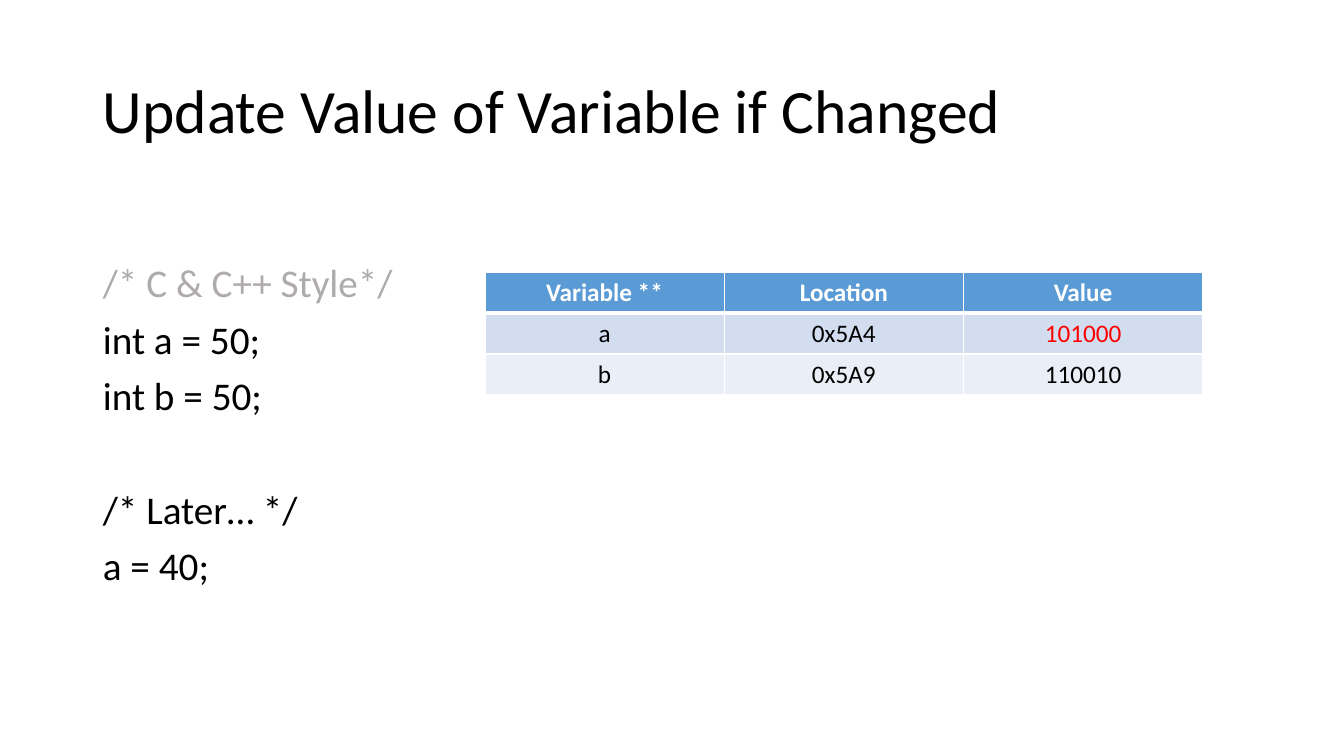
from lxml.etree import SubElement
from pptx import Presentation
from pptx.dml.color import RGBColor
from pptx.enum.text import MSO_ANCHOR, MSO_AUTO_SIZE, PP_ALIGN
from pptx.oxml.ns import qn
from pptx.util import Inches, Pt

BLACK, WHITE, RED, GREY = "000000", "FFFFFF", "FF0000", "AFABAB"
HEADER_BLUE, BAND_DARK, BAND_LIGHT = "5B9BD5", "D2DEEF", "EAEFF7"


def rgb(value):
    return RGBColor.from_string(value)


class SlideBuilder:
    font = "Calibri"

    def __init__(self, slide):
        self.slide = slide

    def style(self, paragraph, size, color, align=PP_ALIGN.LEFT, bold=False):
        paragraph.alignment = align
        paragraph.font.name = self.font
        paragraph.font.size = Pt(size)
        paragraph.font.bold = bold
        paragraph.font.color.rgb = rgb(color)

    def place(self, holder, box, anchor):
        holder.left, holder.top, holder.width, holder.height = map(Inches, box)
        holder.text_frame.auto_size = MSO_AUTO_SIZE.NONE
        holder.text_frame.vertical_anchor = anchor
        return holder.text_frame

    def title(self, text, box):
        frame = self.place(self.slide.shapes.title, box, MSO_ANCHOR.MIDDLE)
        frame.text = text
        self.style(frame.paragraphs[0], 44, BLACK)
        frame.paragraphs[0].line_spacing = 0.9

    def code(self, lines, box):
        frame = self.place(self.slide.placeholders[1], box, MSO_ANCHOR.TOP)
        frame.text = "\n".join(text for text, _, _ in lines)
        for paragraph, (_, color, gap) in zip(frame.paragraphs, lines):
            self.style(paragraph, 28, color)
            paragraph.line_spacing = 0.9
            paragraph.space_before = Pt(gap)
            properties = paragraph._p.get_or_add_pPr()
            properties.set("marL", "0")
            properties.set("indent", "0")
            properties.insert_element_before(
                properties.makeelement(qn("a:buNone"), {}),
                "a:tabLst", "a:defRPr", "a:extLst")

    def borders(self, cell, top, bottom):
        properties = cell._tc.get_or_add_tcPr()
        for side, width in (("L", 1), ("R", 1), ("T", top), ("B", bottom)):
            line = SubElement(properties, qn(f"a:ln{side}"), w=str(Pt(width)))
            fill = SubElement(line, qn("a:solidFill"))
            SubElement(fill, qn("a:srgbClr"), val=WHITE)

    def table(self, rows, fills, box, highlight):
        table = self.slide.shapes.add_table(
            len(rows), len(rows[0]), *map(Inches, box)).table
        for r, (values, fill) in enumerate(zip(rows, fills)):
            header = r == 0
            for c, value in enumerate(values):
                cell = table.cell(r, c)
                cell.text = value
                color = WHITE if header else RED if (r, c) == highlight else BLACK
                self.style(cell.text_frame.paragraphs[0], 18, color,
                           PP_ALIGN.CENTER, header)
                self.borders(cell, 3 if r == 1 else 1, 3 if header else 1)
                cell.fill.solid()
                cell.fill.fore_color.rgb = rgb(fill)


presentation = Presentation()
presentation.slide_width, presentation.slide_height = Inches(13.33), Inches(7.5)
builder = SlideBuilder(
    presentation.slides.add_slide(presentation.slide_layouts[1]))

# Heading
builder.title("Update Value of Variable if Changed", (0.92, 0.4, 11.5, 1.45))

# Code: text, colour and space before in points
builder.code([
    ("/* C & C++ Style*/", GREY, 0),
    ("int a = 50;", BLACK, 10),
    ("int b = 50;", BLACK, 10),
    ("/* Later… */", BLACK, 51),
    ("a = 40;", BLACK, 10),
], (0.92, 2.57, 11.5, 4.19))

# Memory table with the changed value in red
builder.table([
    ("Variable **", "Location", "Value"),
    ("a", "0x5A4", "101000"),
    ("b", "0x5A9", "110010"),
], (HEADER_BLUE, BAND_DARK, BAND_LIGHT), (4.81, 2.7, 7.12, 1.22), (1, 2))

presentation.save("out.pptx")
